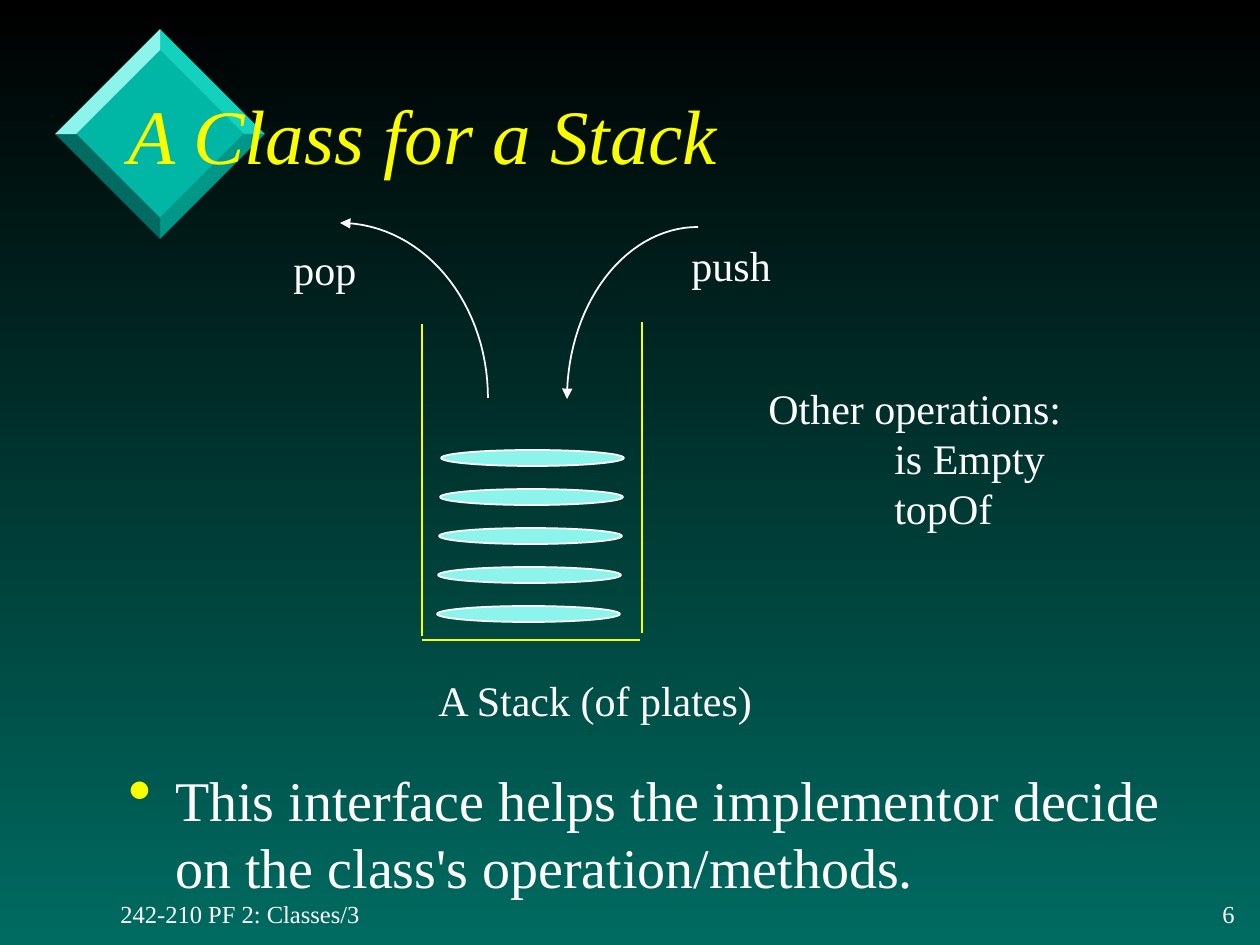
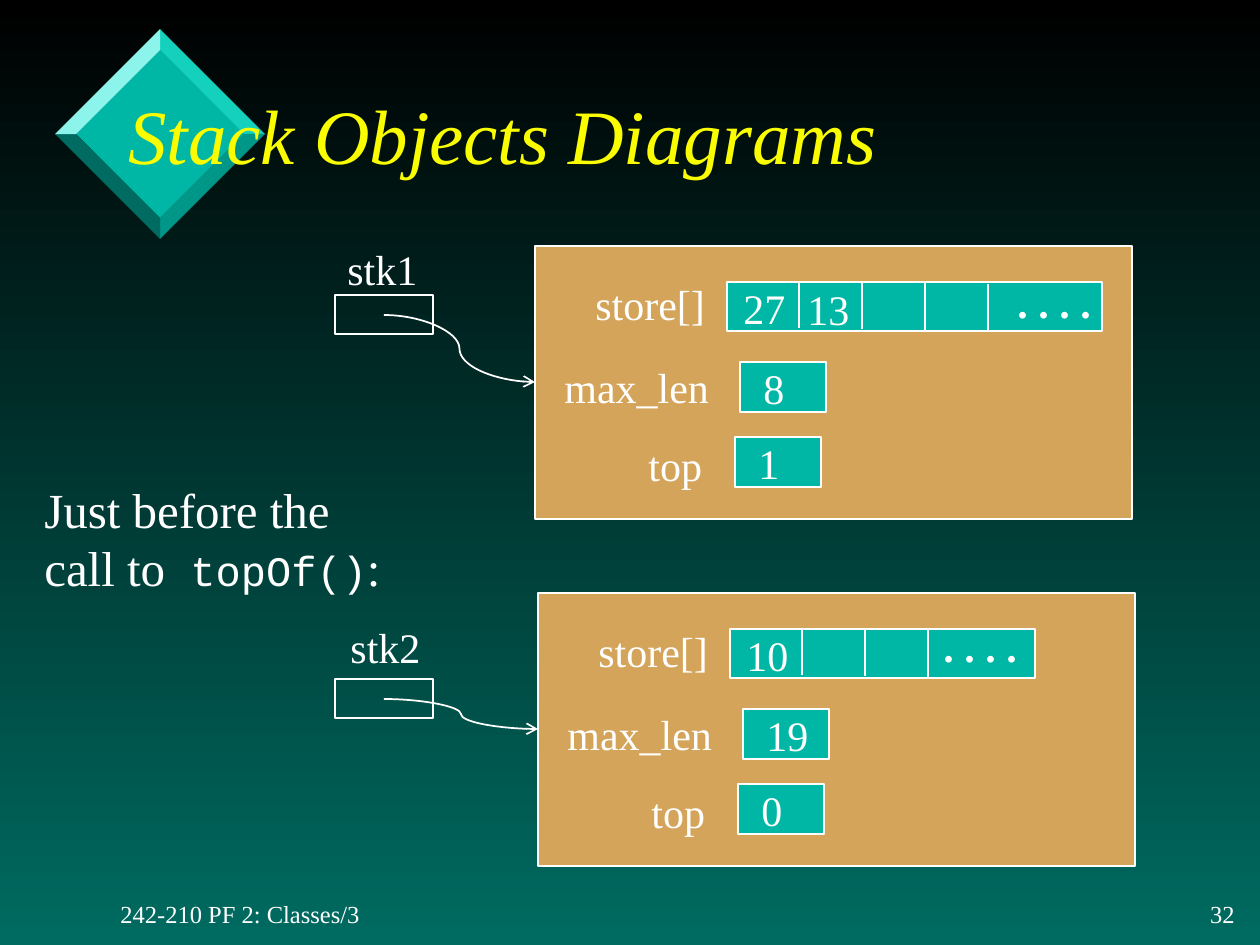
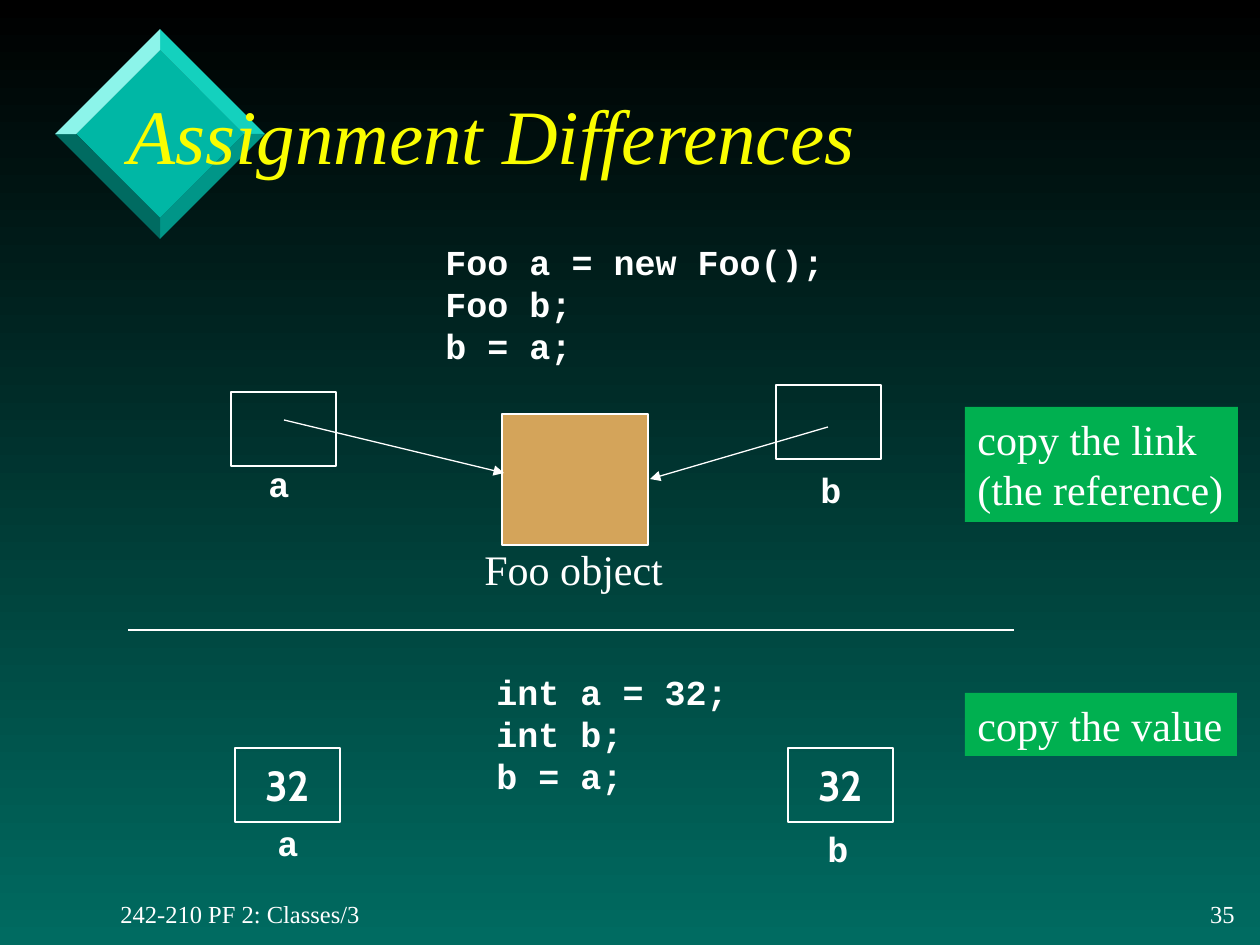
from dataclasses import dataclass, replace
from math import cos, radians, sin

from lxml.etree import SubElement
from pptx import Presentation
from pptx.dml.color import RGBColor as Rgb
from pptx.enum.shapes import MSO_CONNECTOR as Link, MSO_SHAPE as Shape
from pptx.enum.text import MSO_ANCHOR as Anchor, MSO_AUTO_SIZE as AutoSize, PP_ALIGN as Align
from pptx.oxml.ns import qn
from pptx.util import Emu, Pt

EMU_PER_PX = 914400 / 126


@dataclass(frozen=True)
class Look:
    """Describe how a run of text appears."""
    size: int
    font: str = "Times New Roman"
    color: Rgb = Rgb(0xFF, 0xFF, 0xFF)
    bold: bool = False
    italic: bool = False


@dataclass(frozen=True)
class Theme:
    """Hold the colours and text looks of the deck."""
    black: Rgb = Rgb(0, 0, 0)
    white: Rgb = Rgb(0xFF, 0xFF, 0xFF)
    yellow: Rgb = Rgb(0xFA, 0xFD, 0x00)
    teal: Rgb = Rgb(0x00, 0xB7, 0xA5)
    bright_teal: Rgb = Rgb(0x14, 0xD1, 0xBE)
    pale_teal: Rgb = Rgb(0x8C, 0xF4, 0xEA)
    mid_teal: Rgb = Rgb(0x00, 0x96, 0x88)
    deep_teal: Rgb = Rgb(0x00, 0x6B, 0x61)
    sand: Rgb = Rgb(0xD4, 0xA4, 0x5A)
    green: Rgb = Rgb(0x00, 0xB0, 0x50)
    title: Look = Look(44, color=Rgb(0xFA, 0xFD, 0x00), italic=True)
    body: Look = Look(32)
    remark: Look = Look(28)
    label: Look = Look(24)
    footer: Look = Look(14)
    code: Look = Look(20, "Courier New", bold=True)
    inline_code: Look = Look(24, "Courier New")
    number: Look = Look(24, "Cabin", bold=True)


THEME = Theme()


def px(length):
    """Turn a length in px into EMU."""
    return Emu(round(length * EMU_PER_PX))


def style_span(span, look):
    """Give a run its look."""
    font = span.font
    font.size, font.name = Pt(look.size), look.font
    font.bold, font.italic = look.bold, look.italic
    font.color.rgb = look.color


def fill_text(shape, text, look, align=Align.LEFT, anchor=Anchor.TOP, wrap=False):
    """Write text into a shape and format its runs."""
    frame = shape.text_frame
    frame.text = text
    frame.word_wrap = wrap
    frame.vertical_anchor = anchor
    for para in frame.paragraphs:
        para.alignment = align
        for span in para.runs:
            style_span(span, look)


def add_text(page, frame, text, look=THEME.label, grow=True, **layout):
    """Add a text box at left, top, width, height."""
    box = page.shapes.add_textbox(*map(px, frame))
    fill_text(box, text, look, **layout)
    box.text_frame.auto_size = AutoSize.SHAPE_TO_FIT_TEXT if grow else AutoSize.NONE
    return box


def paint(shape, fill=None, line=THEME.white, width=1):
    """Set fill and outline of a shape and drop its shadow."""
    shape.shadow.inherit = False
    if fill is None:
        shape.fill.background()
    else:
        shape.fill.solid()
        shape.fill.fore_color.rgb = fill
    if line is None:
        shape.line.fill.background()
    else:
        shape.line.color.rgb = line
        shape.line.width = Pt(width)
    return shape


def add_block(page, frame, fill=None, kind=Shape.RECTANGLE, **outline):
    """Add a painted preset shape."""
    return paint(page.shapes.add_shape(kind, *map(px, frame)), fill, **outline)


def add_outline(page, points, closed=True, **colors):
    """Add a freeform through the given points."""
    corners = [(px(x), px(y)) for x, y in points]
    builder = page.shapes.build_freeform(*corners[0])
    builder.add_line_segments(corners[1:], close=closed)
    return paint(builder.convert_to_shape(), **colors)


def add_arrowhead(shape, end, kind):
    """Put an arrowhead on one end of a line."""
    SubElement(shape.line._get_or_add_ln(), qn(f"a:{end}"), type=kind)


def add_line(page, start, end, color=THEME.white, width=1, tip=None, kind=Link.STRAIGHT):
    """Add a connector, with an arrowhead if a tip is named."""
    line = page.shapes.add_connector(kind, *map(px, (*start, *end)))
    line.line.color.rgb = color
    line.line.width = Pt(width)
    if tip:
        add_arrowhead(line, "tailEnd", tip)
    SubElement(line._element.spPr, qn("a:effectLst"))


def add_arc_arrow(page, center, radii, start):
    """Add a clockwise quarter arc with the arrowhead at its start."""
    angles = [radians(start + step * 3) for step in range(31)]
    points = [(center[0] + radii[0] * cos(angle), center[1] + radii[1] * sin(angle))
              for angle in angles]
    add_arrowhead(add_outline(page, points, closed=False), "headEnd", "triangle")


def add_diamond(page):
    """Draw the bevelled diamond behind the title."""
    directions = [(0, -1), (1, 0), (0, 1), (-1, 0)]
    inner, outer = ([(160 + radius * x, 134 + radius * y) for x, y in directions]
                    for radius in (84, 105))
    add_outline(page, inner, fill=THEME.teal, line=None)
    bevels = (THEME.bright_teal, THEME.mid_teal, THEME.deep_teal, THEME.pale_teal)
    for side, color in enumerate(bevels):
        after = (side + 1) % 4
        facet = [inner[side], outer[side], outer[after], inner[after]]
        add_outline(page, facet, fill=color, line=None)


def add_page(deck, title, number):
    """Add a slide with the shared diamond, footer and title."""
    page = deck.slides.add_slide(deck.slide_layouts[6])
    add_diamond(page)
    add_text(page, (108, 893, 267, 42), "242-210 PF 2: Classes/3", THEME.footer,
             anchor=Anchor.MIDDLE)
    add_text(page, (1194, 893, 53, 42), str(number), THEME.footer,
             align=Align.RIGHT, anchor=Anchor.MIDDLE, wrap=True)
    add_text(page, (116, 58, 1072, 152), title, THEME.title, grow=False,
             anchor=Anchor.MIDDLE, wrap=True)
    return page


def add_bullet(page, frame, text):
    """Add a bulleted paragraph with a hanging indent."""
    box = add_text(page, frame, text, THEME.body, grow=False, wrap=True)
    props = box.text_frame.paragraphs[0]._p.get_or_add_pPr()
    props.set("marL", str(px(47)))
    props.set("indent", str(-px(47)))
    SubElement(SubElement(props, qn("a:buClr")), qn("a:srgbClr"), val=str(THEME.yellow))
    SubElement(props, qn("a:buSzPct"), val="120000")
    SubElement(props, qn("a:buChar"), char="•")


def add_tab_stop(box, position):
    """Set a left tab stop in the first paragraph of a box."""
    props = box.text_frame.paragraphs[0]._p.get_or_add_pPr()
    stops = SubElement(props, qn("a:tabLst"))
    SubElement(stops, qn("a:tab"), pos=str(px(position)), algn="l")


def add_value(page, left, top, value):
    """Write a number in a box as wide as its digits."""
    add_text(page, (left, top, 25 + 21 * len(value), 64), value)


def add_stack_object(page, left, top, values, strip, dividers, dots, max_len, top_index):
    """Draw a stack object with its store, max_len and top fields."""
    add_block(page, (left, top, 597, 273), THEME.sand)
    add_block(page, (left + 192, top + 36, strip, 49), THEME.teal)
    for index in range(dividers):
        x, y = left + 264 + 63 * index, top + 35 + index
        add_line(page, (x, y), (x, y + 47))
    for index, value in enumerate(values):
        add_value(page, left + 196 + 64 * index, top + 30 + index, value)
    add_text(page, (left + dots[0], top + dots[1], 112, 64), ". . . .",
             replace(THEME.label, bold=True), wrap=True)
    for name, x, y, width in (("store[]", 48, 26, 136), ("max_len", 17, 109, 171),
                              ("top", 101, 187, 81)):
        add_text(page, (left + x, top + y, width, 64), name)
    for value, x, y in ((max_len, 205, 116), (top_index, 200, 191)):
        add_block(page, (left + x, top + y, 86, 50), THEME.teal)
        add_value(page, left + x + 11, top + y - 6, value)


def add_reference(page, name, label_at, box_top, target):
    """Draw a named reference box with a curved arrow to its object."""
    add_text(page, (*label_at, 97, 64), name)
    add_block(page, (335, box_top, 98, 39))
    add_line(page, (384, box_top + 20), target, tip="arrow", kind=Link.CURVE)


def add_variable(page, name, frame_at, name_at, value=None):
    """Draw a variable box with its name and optional value."""
    box = add_block(page, (*frame_at, 105, 74), width=0.75)
    if value:
        fill_text(box, value, THEME.number, Align.CENTER, Anchor.MIDDLE)
    add_text(page, (*name_at, 71, 55), name, THEME.code, wrap=True)


def add_note(page, frame, text):
    """Add a green note."""
    fill_text(add_block(page, frame, THEME.green, line=None), text, THEME.label)


def build_stack_class(deck):
    """Build the slide on the stack of plates."""
    page = add_page(deck, "A Class for a Stack", 6)
    for start, end in (((422, 324), (422, 636)), ((642, 322), (642, 633)),
                       ((422, 640), (640, 640))):
        add_line(page, start, end, THEME.yellow)
    add_arc_arrow(page, (340, 398), (148, 175), -90)
    add_arc_arrow(page, (698, 399), (131, 172), 180)
    for plate in range(5):
        add_block(page, (441 - plate, 450 + 39 * plate, 183, 16), THEME.pale_teal, Shape.OVAL)
    add_text(page, (426, 668, 340, 63), "A Stack (of plates)")
    add_text(page, (679, 233, 105, 63), "push")
    add_text(page, (281, 237, 88, 63), "pop")
    operations = add_text(page, (756, 376, 328, 164),
                          "Other operations:\v\tis Empty\v\ttopOf", wrap=True)
    add_tab_stop(operations, 126)
    add_bullet(page, (116, 759, 1110, 150), "This interface helps the implementor decide "
               "on the class's operation/methods.")


def build_stack_objects(deck):
    """Build the slide on the two stack objects."""
    page = add_page(deck, "Stack Objects Diagrams", 32)
    add_stack_object(page, 535, 246, ("27", "13"), 375, 4, (470, 24), "8", "1")
    add_stack_object(page, 538, 593, ("10",), 305, 3, (393, 21), "19", "0")
    remark = add_text(page, (32, 473, 368, 130), "", wrap=True)
    para = remark.text_frame.paragraphs[0]
    for text, look in (("Just before the call to", THEME.remark),
                       (" topOf()", THEME.inline_code), (":", THEME.remark)):
        span = para.add_run()
        span.text = text
        style_span(span, look)
    add_reference(page, "stk1", (335, 237), 295, (535, 382))
    add_reference(page, "stk2", (338, 615), 679, (538, 729))


def build_assignment(deck):
    """Build the slide that compares references with values."""
    page = add_page(deck, "Assignment Differences", 35)
    add_variable(page, "a", (231, 392), (256, 456))
    add_variable(page, "b", (776, 385), (808, 462))
    add_variable(page, "a", (235, 748), (265, 815), "32")
    add_variable(page, "b", (788, 748), (815, 821), "32")
    add_block(page, (502, 414, 146, 131), THEME.sand)
    add_line(page, (284, 420), (504, 473), width=0.75, tip="triangle")
    add_line(page, (828, 427), (650, 479), width=0.75, tip="triangle")
    add_text(page, (433, 234, 561, 140), "Foo a = new Foo();\nFoo b;\nb = a;",
             THEME.code, wrap=True)
    add_text(page, (484, 664, 273, 140), "int a = 32;\nint b;\nb = a;", THEME.code, wrap=True)
    add_line(page, (128, 630), (1014, 630))
    add_text(page, (472, 537, 205, 63), "Foo object")
    add_note(page, (965, 407, 273, 115), "copy the link\n(the reference)")
    add_note(page, (965, 693, 272, 63), "copy the value")


def main():
    """Build and save the deck."""
    deck = Presentation()
    deck.slide_width, deck.slide_height = px(1260), px(945)
    backdrop = deck.slide_master.background.fill
    backdrop.gradient()
    backdrop.gradient_angle = 270
    for stop, color in zip(backdrop.gradient_stops, (THEME.black, THEME.deep_teal)):
        stop.color.rgb = color
    for build in (build_stack_class, build_stack_objects, build_assignment):
        build(deck)
    deck.save("out.pptx")


if __name__ == "__main__":
    main()
